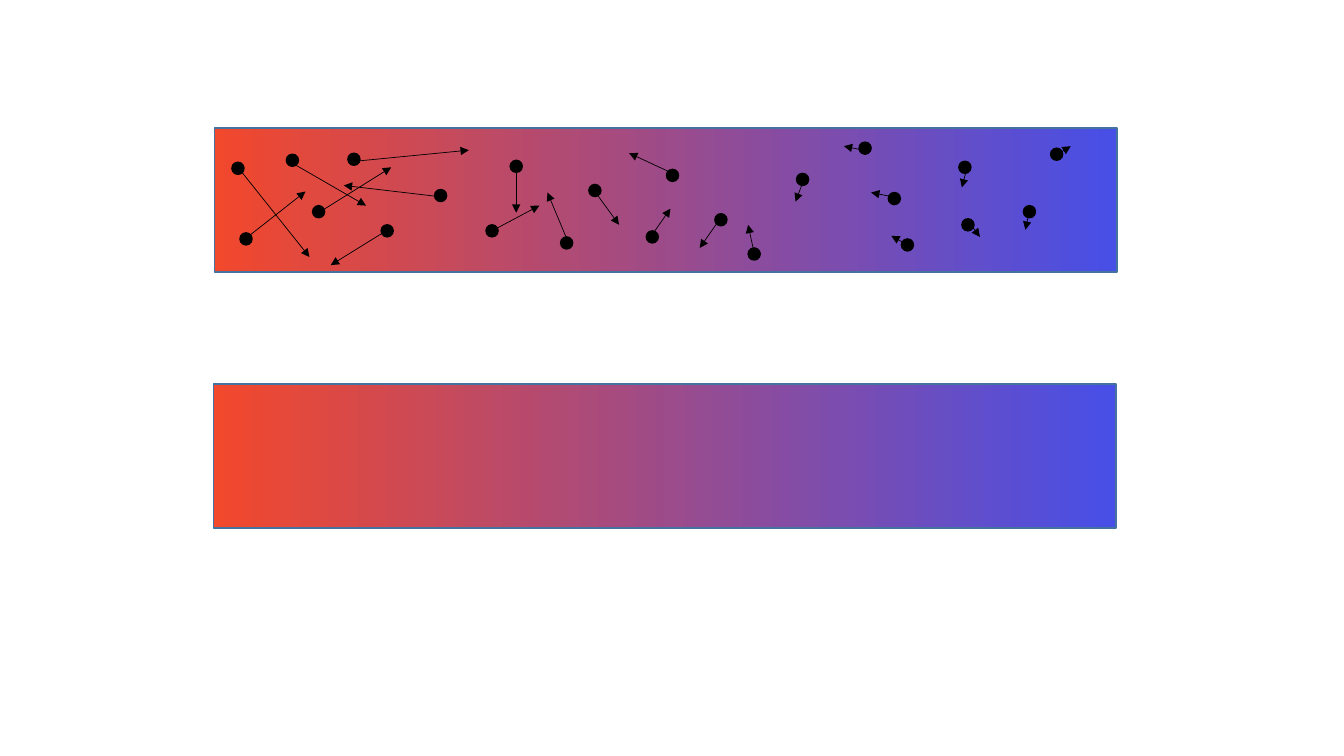
"""Build a slide of two hot-to-cold bars, one with particles and their velocity arrows."""
import dataclasses

import pptx
import pptx.dml.color
import pptx.enum.shapes
import pptx.oxml
import pptx.oxml.ns
import pptx.util

Inches = pptx.util.Inches
Pt = pptx.util.Pt
Color = pptx.dml.color.RGBColor
Shape = pptx.enum.shapes.MSO_SHAPE
namespace = pptx.oxml.ns.nsdecls("a")


@dataclasses.dataclass(frozen=True)
class Theme:
    hot: Color = Color.from_string("F2482C")
    cold: Color = Color.from_string("474FE7")
    border: Color = Color.from_string("43739E")
    particle: Color = Color.from_string("000000")
    outline: float = 1
    arrow: float = 0.5


theme = Theme()
bar_width, bar_height = 8.95, 1.43
diameter = 0.12
bars = [(2.13, 1.27), (2.12, 3.81)]
particles = [
    ((2.30, 1.61), (2.40, 1.71), (3.07, 2.55)),
    ((2.38, 2.31), (2.47, 2.34), (3.03, 1.90)),
    ((2.84, 1.53), (2.92, 1.63), (3.63, 2.04)),
    ((3.10, 2.04), (3.16, 2.11), (3.88, 1.66)),
    ((3.45, 1.52), (3.52, 1.60), (4.65, 1.49)),
    ((3.78, 2.23), (3.83, 2.29), (3.28, 2.63)),
    ((4.31, 1.88), (4.35, 1.95), (3.41, 1.84)),
    ((4.82, 2.23), (4.88, 2.29), (5.35, 2.04)),
    ((5.06, 1.59), (5.12, 1.65), (5.12, 2.11)),
    ((5.56, 2.35), (5.63, 2.39), (5.43, 1.91)),
    ((5.84, 1.83), (5.90, 1.90), (6.14, 2.23)),
    ((6.41, 2.29), (6.46, 2.34), (6.65, 2.07)),
    ((6.61, 1.68), (6.65, 1.71), (6.24, 1.52)),
    ((7.09, 2.12), (7.17, 2.13), (6.94, 2.46)),
    ((7.42, 2.46), (7.48, 2.51), (7.42, 2.23)),
    ((7.90, 1.72), (7.97, 1.79), (7.89, 2.00)),
    ((8.52, 1.41), (8.56, 1.49), (8.37, 1.45)),
    ((8.81, 1.91), (8.84, 1.95), (8.64, 1.91)),
    ((8.94, 2.37), (9.02, 2.44), (8.84, 2.34)),
    ((9.51, 1.60), (9.59, 1.67), (9.54, 1.86)),
    ((9.54, 2.17), (9.62, 2.22), (9.72, 2.35)),
    ((10.15, 2.04), (10.21, 2.09), (10.17, 2.28)),
    ((10.42, 1.47), (10.43, 1.57), (10.62, 1.45)),
]

deck = pptx.Presentation()
deck.slide_width, deck.slide_height = Inches(13.33), Inches(7.5)
page = deck.slides.add_slide(deck.slide_layouts[6])


def add_outlined(kind, left, top, width, height, border):
    shape = page.shapes.add_shape(kind, Inches(left), Inches(top), Inches(width), Inches(height))
    shape.shadow.inherit = False
    shape.line.color.rgb = border
    shape.line.width = Pt(theme.outline)
    return shape


for left, top in bars:
    bar = add_outlined(Shape.RECTANGLE, left, top, bar_width, bar_height, theme.border)
    bar.fill.gradient()
    bar.fill.gradient_angle = 0
    for stop, color in zip(bar.fill.gradient_stops, (theme.hot, theme.cold)):
        stop.color.rgb = color

for corner, start, end in particles:
    dot = add_outlined(Shape.OVAL, *corner, diameter, diameter, theme.particle)
    dot.fill.solid()
    dot.fill.fore_color.rgb = theme.particle

    arrow = page.shapes.add_connector(
        pptx.enum.shapes.MSO_CONNECTOR.STRAIGHT, *map(Inches, start + end)
    )
    arrow.line.color.rgb = theme.particle
    arrow.line.width = Pt(theme.arrow)
    arrow.line._get_or_add_ln().append(
        pptx.oxml.parse_xml(f'<a:tailEnd {namespace} type="triangle"/>')
    )
    arrow._element.spPr.append(pptx.oxml.parse_xml(f"<a:effectLst {namespace}/>"))

deck.save("out.pptx")
